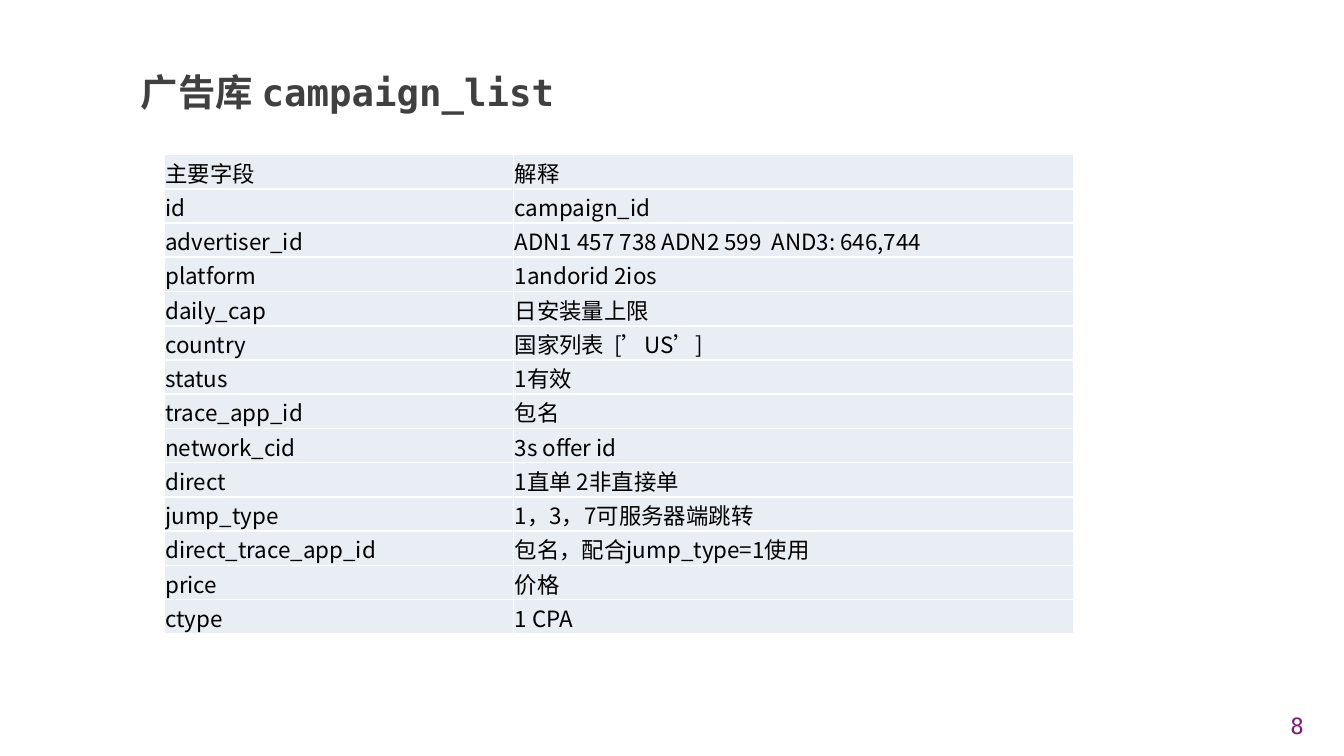
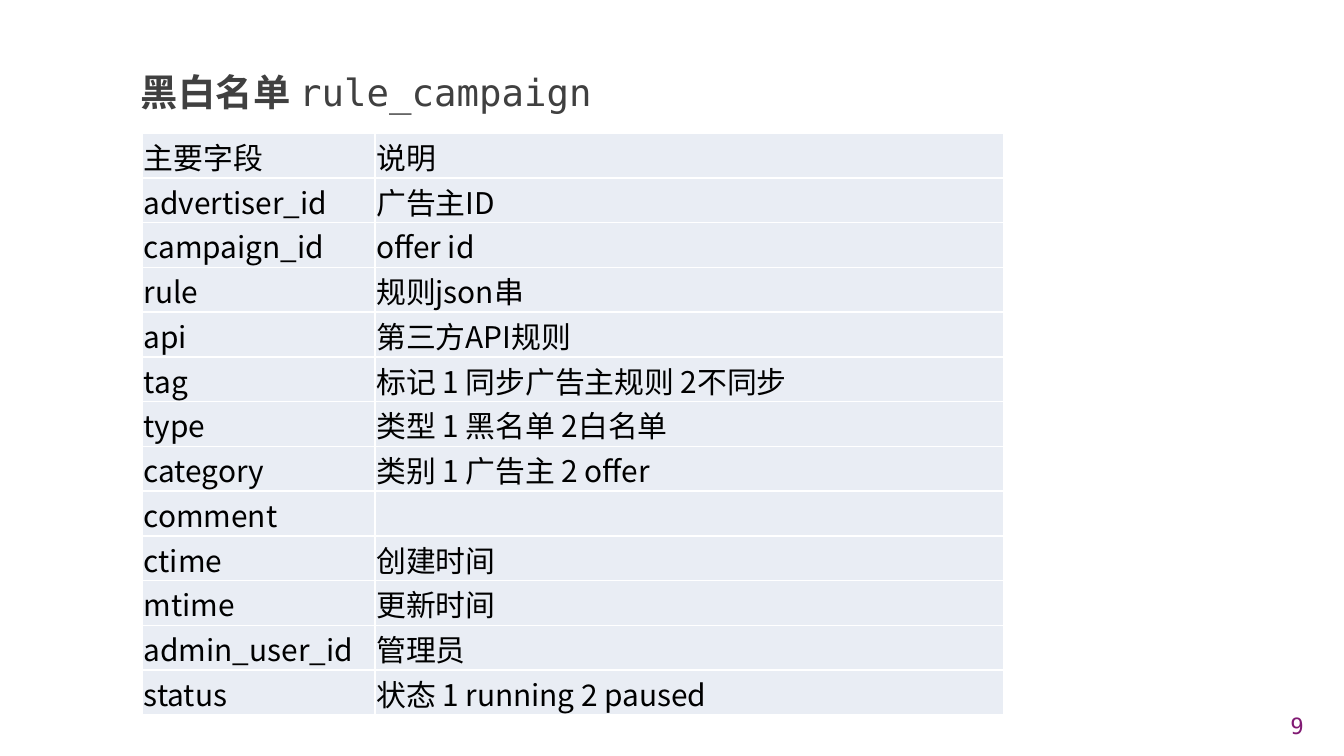
from lxml import etree
from pptx import Presentation
from pptx.dml.color import RGBColor
from pptx.enum.text import MSO_ANCHOR, PP_ALIGN
from pptx.oxml.ns import qn
from pptx.util import Inches, Pt

MIDDLE, BOTTOM = MSO_ANCHOR.MIDDLE, MSO_ANCHOR.BOTTOM
LEFT, RIGHT = PP_ALIGN.LEFT, PP_ALIGN.RIGHT

WIDE = 10
HIGH = WIDE * 9 / 16
MONO, SANS = "DejaVu Sans Mono", "Noto Sans CJK SC"
COLORS = {"title": "404040", "page": "811A73", "text": "000000",
          "cell": "E9EDF4", "rule": "FFFFFF"}

# Boxes shared by both slides: left, top, width, height
TITLE_BOX = (0.95, 0.21, 3.78, 0.94)
PAGE_BOX = (7.47, 5.25, 2.33, 0.3)

CAMPAIGN = [
    ("主要字段", "解释"),
    ("id", "campaign_id"),
    ("advertiser_id", "ADN1 457 738 ADN2 599  AND3: 646,744"),
    ("platform", "1andorid 2ios"),
    ("daily_cap", "日安装量上限"),
    ("country", "国家列表  [’US’]"),
    ("status", "1有效"),
    ("trace_app_id", "包名"),
    ("network_cid", "3s offer id"),
    ("direct", "1直单 2非直接单"),
    ("jump_type", "1，3，7可服务器端跳转"),
    ("direct_trace_app_id", "包名，配合jump_type=1使用"),
    ("price", "价格"),
    ("ctype", "1 CPA"),
]

RULES = [
    ("主要字段", "说明"),
    ("advertiser_id", "广告主ID"),
    ("campaign_id", "offer id"),
    ("rule", "规则json串"),
    ("api", "第三方API规则"),
    ("tag", "标记 1 同步广告主规则 2不同步"),
    ("type", "类型 1 黑名单 2白名单"),
    ("category", "类别 1 广告主 2 offer"),
    ("comment", ""),
    ("ctime", "创建时间"),
    ("mtime", "更新时间"),
    ("admin_user_id", "管理员"),
    ("status", "状态 1 running 2 paused"),
]


def style(run, size, face, color, bold=False):
    font = run.font
    font.size, font.name, font.bold = Pt(size), face, bold
    font.color.rgb = RGBColor.from_string(COLORS[color])
    # East Asian glyphs share one face
    east = etree.SubElement(run._r.get_or_add_rPr(), qn("a:ea"))
    east.set("typeface", SANS)


def add_text(slide, box, parts, size, color, align=LEFT):
    """Write parts, a list of (text, bold), on one line."""
    frame = slide.shapes.add_textbox(*map(Inches, box)).text_frame
    frame.word_wrap = True
    frame.vertical_anchor = MIDDLE
    para = frame.paragraphs[0]
    para.alignment = align
    for text, bold in parts:
        run = para.add_run()
        run.text = text
        style(run, size, MONO, color, bold)


def add_rules(cell):
    """Draw a thin line on all four sides of a cell."""
    props = cell._tc.get_or_add_tcPr()
    for spot, side in enumerate(("lnL", "lnR", "lnT", "lnB")):
        line = etree.Element(qn("a:" + side), w=str(Pt(1)))
        fill = etree.SubElement(line, qn("a:solidFill"))
        etree.SubElement(fill, qn("a:srgbClr"), val=COLORS["rule"])
        props.insert(spot, line)


def fill_cell(cell, text, size):
    cell.fill.solid()
    cell.fill.fore_color.rgb = RGBColor.from_string(COLORS["cell"])
    cell.margin_left = cell.margin_right = cell.margin_top = Inches(0.01)
    cell.margin_bottom = 0
    cell.vertical_anchor = BOTTOM
    add_rules(cell)
    para = cell.text_frame.paragraphs[0]
    para.text = text
    for run in para.runs:
        style(run, size, SANS, "text")
    if not text:  # keeps an empty row as low as the others
        etree.SubElement(para._p, qn("a:endParaRPr"), sz=str(size * 100))


def add_grid(slide, rows, left, top, cols, height, size):
    box = map(Inches, (left, top, sum(cols), height))
    table = slide.shapes.add_table(len(rows), len(cols), *box).table
    table.first_row = table.horz_banding = False
    for col, width in zip(table.columns, cols):
        col.width = Inches(width)
    for row, texts in zip(table.rows, rows):
        row.height = Inches(height / len(rows))
        for cell, text in zip(row.cells, texts):
            fill_cell(cell, text, size)


def add_page(deck, number, title):
    slide = deck.slides.add_slide(deck.slide_layouts[6])
    add_text(slide, TITLE_BOX, title, 20, "title")
    add_text(slide, PAGE_BOX, [(str(number), False)], 12, "page", RIGHT)
    return slide


def main():
    deck = Presentation()
    deck.slide_width, deck.slide_height = Inches(WIDE), Inches(HIGH)

    # Campaign fields
    slide = add_page(deck, 8, [("广告库 campaign_list", True)])
    add_grid(slide, CAMPAIGN, 1.22, 1.15, (2.6, 4.17), 3.57, 12)

    # Black and white list fields
    slide = add_page(deck, 9, [("黑白名单 ", True), ("rule_campaign", False)])
    add_grid(slide, RULES, 1.06, 0.99, (1.73, 4.68), 4.33, 16)

    deck.save("out.pptx")


if __name__ == "__main__":
    main()
